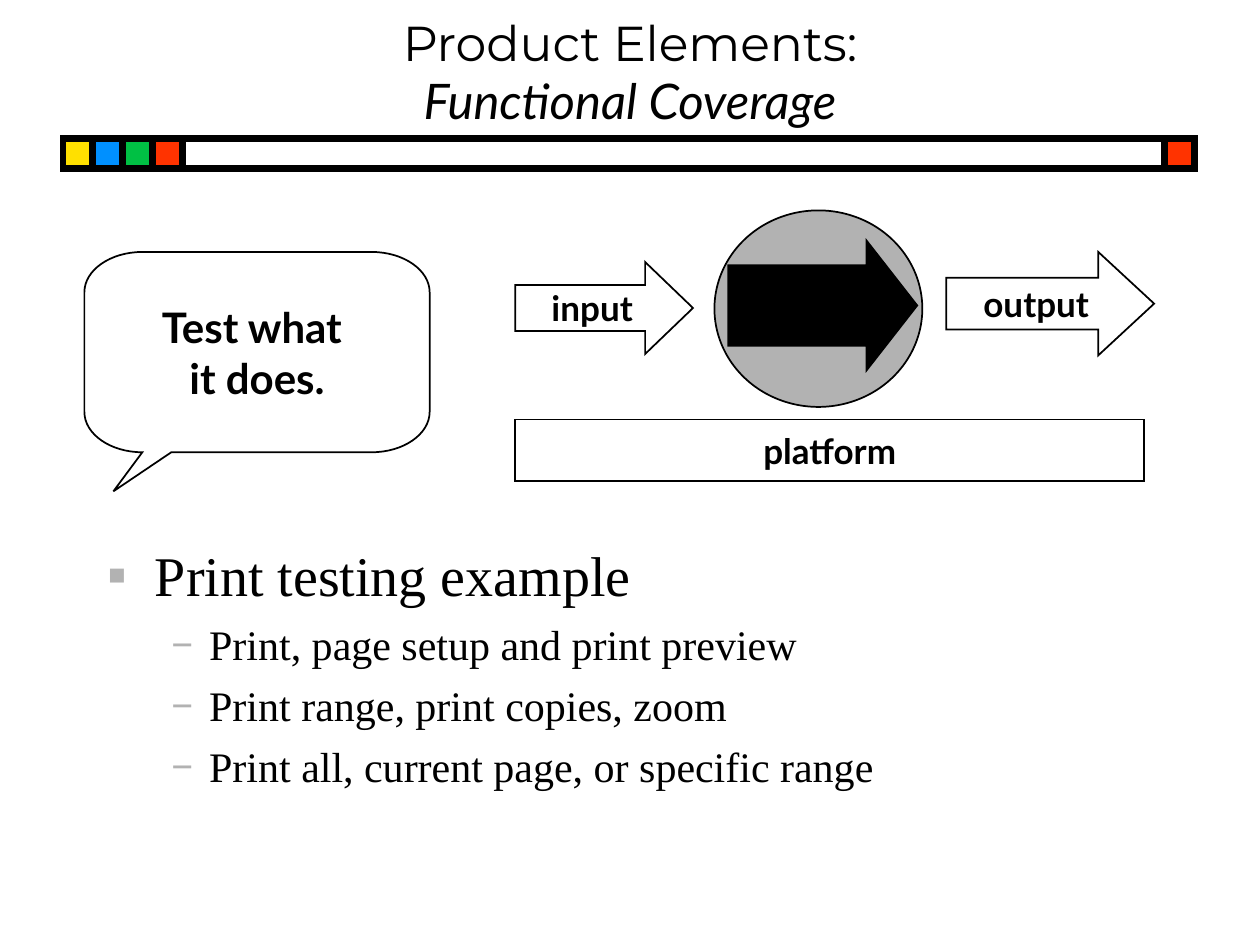
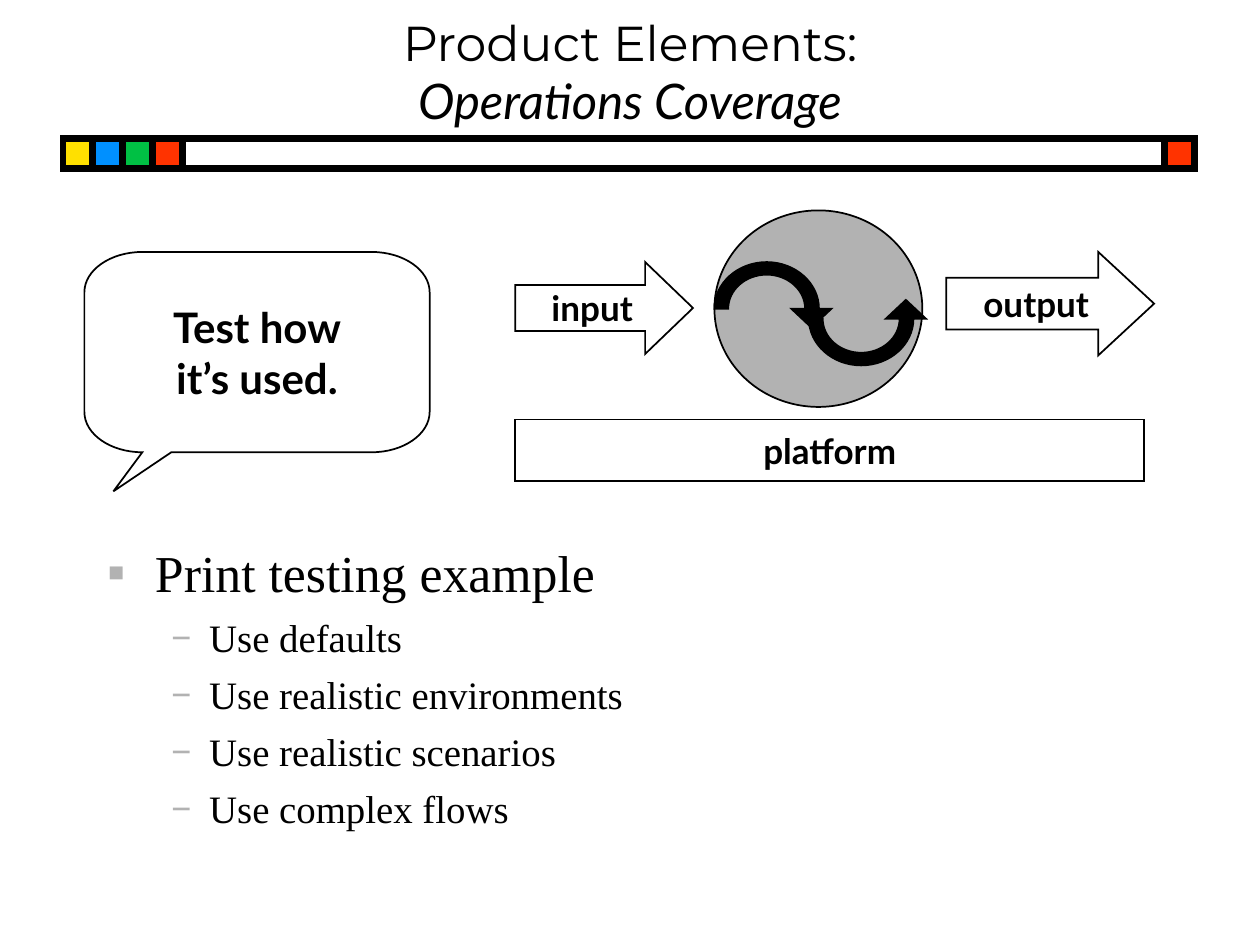
from dataclasses import dataclass
from typing import Callable

from lxml import etree
from pptx import Presentation
from pptx.dml.color import RGBColor
from pptx.enum.shapes import MSO_SHAPE
from pptx.enum.text import MSO_ANCHOR, MSO_AUTO_SIZE, PP_ALIGN
from pptx.oxml.ns import qn
from pptx.util import Inches, Pt

RECTANGLE, ELLIPSE, ARROW = MSO_SHAPE.RECTANGLE, MSO_SHAPE.OVAL, MSO_SHAPE.RIGHT_ARROW
CENTER, MIDDLE, BOTTOM, TOP = PP_ALIGN.CENTER, MSO_ANCHOR.MIDDLE, MSO_ANCHOR.BOTTOM, MSO_ANCHOR.TOP
NO_AUTOFIT = MSO_AUTO_SIZE.NONE


@dataclass(frozen=True)
class Theme:
    black: str = "000000"
    white: str = "FFFFFF"
    gray: str = "B2B2B2"
    red: str = "FF3300"
    squares: tuple = ("FFE000", "0090FF", "00C044", "FF3300")
    title_font: str = "Montserrat"
    label_font: str = "Lato"
    body_font: str = "Times New Roman"
    title_size: float = 28
    balloon_size: float = 24
    label_size: float = 20
    thin: float = 1
    thick: float = 4


THEME = Theme()


@dataclass(frozen=True)
class Part:
    kind: int
    left: float
    top: float
    width: float
    height: float
    fill: str | None = THEME.white
    label: str = ""
    adjustments: tuple = ()
    line_width: float = THEME.thin


@dataclass(frozen=True)
class Level:
    bullet: str
    bullet_font: str
    margin: float
    indent: float
    space_before: float


@dataclass(frozen=True)
class Coverage:
    subtitle: str
    balloon: str
    items: tuple
    sizes: tuple
    draw_flow: Callable


LEVELS = (Level("▪", THEME.body_font, 0.38, -0.38, 8),
          Level("−", THEME.label_font, 0.81, -0.31, 6))

DIAGRAM = (
    Part(ARROW, 4.09, 2.08, 1.41, 0.73, label="input", adjustments=(0.5, 0.52)),
    Part(ARROW, 7.51, 2, 1.65, 0.82, label="output", adjustments=(0.5, 0.54)),
    Part(RECTANGLE, 4.09, 3.33, 4.99, 0.49, label="platform"),
    Part(ELLIPSE, 5.67, 1.67, 1.65, 1.56, THEME.gray),
)


# Shared drawing
def paint(shape, fill: str | None, line_width: float) -> None:
    shape.shadow.inherit = False
    if fill:
        shape.fill.solid()
        shape.fill.fore_color.rgb = RGBColor.from_string(fill)
    else:
        shape.fill.background()
    shape.line.color.rgb = RGBColor.from_string(THEME.black)
    shape.line.width = Pt(line_width)
    outline = next(shape.element.iter(qn("a:ln")))
    etree.SubElement(outline, qn("a:miter"), lim="800000")


def style_span(span, font: str, size: float, bold: bool = False, italic: bool = False) -> None:
    span.font.name, span.font.size = font, Pt(size)
    span.font.bold, span.font.italic = bold, italic
    span.font.color.rgb = RGBColor.from_string(THEME.black)


def size_breaks(shape, size: float) -> None:
    for line_break in shape.element.iter(qn("a:br")):
        etree.SubElement(line_break, qn("a:rPr"), sz=str(round(size * 100)))


def write_label(shape, text: str, size: float) -> None:
    frame = shape.text_frame
    frame.text = text
    frame.word_wrap = False
    frame.vertical_anchor = MIDDLE
    for para in frame.paragraphs:
        para.alignment = CENTER
        for span in para.runs:
            style_span(span, THEME.label_font, size, bold=True)
    size_breaks(shape, size)


def draw_part(shapes, part: Part) -> None:
    place = (Inches(n) for n in (part.left, part.top, part.width, part.height))
    shape = shapes.add_shape(part.kind, *place)
    for index, value in enumerate(part.adjustments):
        shape.adjustments[index] = value
    paint(shape, part.fill, part.line_width)
    if part.label:
        write_label(shape, part.label, THEME.label_size)


def quarter(start: tuple, corner: tuple, end: tuple) -> tuple:
    """Control points and end of a quarter ellipse that bends towards a corner."""
    pull = 0.55
    controls = [tuple(a + pull * (c - a) for a, c in zip(point, corner))
                for point in (start, end)]
    return (*controls, end)


def draw_outline(page, start: tuple, segments: list, fill: str):
    """Draw segments of one point (line) or three points (curve)."""
    points = [(Inches(x), Inches(y)) for segment in segments for x, y in segment]
    builder = page.shapes.build_freeform(Inches(start[0]), Inches(start[1]))
    builder.add_line_segments(points, close=True)
    shape = builder.convert_to_shape()
    nodes = iter(list(shape.element.iter(qn("a:lnTo"))))
    for segment in segments:
        first, *others = [next(nodes) for _ in segment]
        if others:
            curve = etree.Element(qn("a:cubicBezTo"))
            first.addprevious(curve)
            for node in (first, *others):
                curve.append(node[0])
                node.getparent().remove(node)
    paint(shape, fill, THEME.thin)
    return shape


# Colour band on the master
def add_band(deck, page) -> None:
    left, top, width, side = 0.5, 1.1, 8.98, 0.71 / 3
    group = page.shapes.add_group_shape()
    cells = [(left, width, None)]
    cells += [(left + n * side, side, color) for n, color in enumerate(THEME.squares)]
    cells.append((left + width - side, side, THEME.red))
    for x, cell_width, color in cells:
        draw_part(group.shapes, Part(RECTANGLE, x, top, cell_width, side, color,
                                     line_width=THEME.thick))
    for number, properties in enumerate(group.element.iter(qn("p:cNvPr")), 100):
        properties.set("id", str(number))
    deck.slide_master.shapes.element.insert(2, group.element)


# Title and list placeholders
def place_text(box, left: float, top: float, width: float, height: float, anchor) -> None:
    box.left, box.top = Inches(left), Inches(top)
    box.width, box.height = Inches(width), Inches(height)
    box.text_frame.auto_size = NO_AUTOFIT
    box.text_frame.vertical_anchor = anchor


def write_title(page, subtitle: str) -> None:
    title = page.shapes.title
    place_text(title, 0, 0.08, 10, 1, BOTTOM)
    title.text_frame.text = f"Product Elements:\v{subtitle}"
    para = title.text_frame.paragraphs[0]
    para.alignment = CENTER
    first, second = para.runs
    style_span(first, THEME.title_font, THEME.title_size)
    style_span(second, THEME.label_font, THEME.title_size, italic=True)
    size_breaks(title, THEME.title_size)


def set_bullet(para, level: Level) -> None:
    properties = para._p.get_or_add_pPr()
    properties.set("marL", str(Inches(level.margin)))
    properties.set("indent", str(Inches(level.indent)))
    color = etree.SubElement(properties, qn("a:buClr"))
    etree.SubElement(color, qn("a:srgbClr"), val=THEME.gray)
    etree.SubElement(properties, qn("a:buFont"), typeface=level.bullet_font)
    etree.SubElement(properties, qn("a:buChar"), char=level.bullet)


def write_list(page, items: tuple, sizes: tuple) -> None:
    body = page.placeholders[1]
    place_text(body, 0.75, 4.24, 8.5, 2.33, TOP)
    body.text_frame.text = "\n".join(("Print testing example", *items))
    for index, para in enumerate(body.text_frame.paragraphs):
        para.level = min(index, 1)
        level = LEVELS[para.level]
        set_bullet(para, level)
        para.space_before = Pt(level.space_before if index else 0)
        style_span(para.runs[0], THEME.body_font, sizes[para.level])


# Speech balloon
def draw_balloon(page, text: str) -> None:
    left, top, right, bottom = 0.67, 2, 3.41, 3.59
    inner_left, inner_right = left + 0.46, right - 0.46
    inner_top, inner_bottom = top + 0.32, bottom - 0.32
    tip = (0.9, 3.9)
    start = (inner_left, top)
    segments = [
        quarter(start, (left, top), (left, inner_top)),
        ((left, inner_bottom),),
        quarter((left, inner_bottom), (left, bottom), (inner_left, bottom)),
        (tip,), ((1.36, bottom),), ((inner_right, bottom),),
        quarter((inner_right, bottom), (right, bottom), (right, inner_bottom)),
        ((right, inner_top),),
        quarter((right, inner_top), (right, top), (inner_right, top)),
    ]
    balloon = draw_outline(page, start, segments, THEME.white)
    write_label(balloon, text, THEME.balloon_size)
    balloon.text_frame.margin_bottom = Inches(0.05 + tip[1] - bottom)


# Flow inside the circle
def draw_straight_flow(page) -> None:
    draw_part(page.shapes, Part(ARROW, 5.78, 1.91, 1.5, 1.03, THEME.black,
                                adjustments=(0.62, 0.39)))


def half_ring(start_x: float, end_x: float, base: float, crest: float) -> list:
    middle = ((start_x + end_x) / 2, crest)
    return [quarter((start_x, base), (start_x, crest), middle),
            quarter(middle, (end_x, crest), (end_x, base))]


def draw_curved_flow(page) -> None:
    for left, base, side in ((5.67, 2.45, -1), (6.42, 2.53, 1)):
        inner_left, inner_right, right = left + 0.11, left + 0.72, left + 0.83
        head = [(left + 0.93, base), (left + 0.77, base - side * 0.15), (left + 0.61, base)]
        segments = half_ring(inner_right, inner_left, base, base + side * 0.27)
        segments.append(((left, base),))
        segments += half_ring(left, right, base, base + side * 0.37)
        segments += [(point,) for point in head]
        draw_outline(page, (inner_right, base), segments, THEME.black)


SLIDES = (
    Coverage("Functional Coverage", "Test what \nit does.",
             ("Print, page setup and print preview", "Print range, print copies, zoom",
              "Print all, current page, or specific range"),
             (32, 24), draw_straight_flow),
    Coverage("Operations Coverage", "Test how\vit’s used.",
             ("Use defaults", "Use realistic environments",
              "Use realistic scenarios", "Use complex flows"),
             (29.6, 22.2), draw_curved_flow),
)


def main() -> None:
    deck = Presentation()
    deck.slide_width, deck.slide_height = Inches(10), Inches(7.5)
    for index, coverage in enumerate(SLIDES):
        page = deck.slides.add_slide(deck.slide_layouts[1])
        if index == 0:
            add_band(deck, page)
        write_title(page, coverage.subtitle)
        for part in DIAGRAM:
            draw_part(page.shapes, part)
        draw_balloon(page, coverage.balloon)
        write_list(page, coverage.items, coverage.sizes)
        coverage.draw_flow(page)
    deck.save("out.pptx")


if __name__ == "__main__":
    main()
